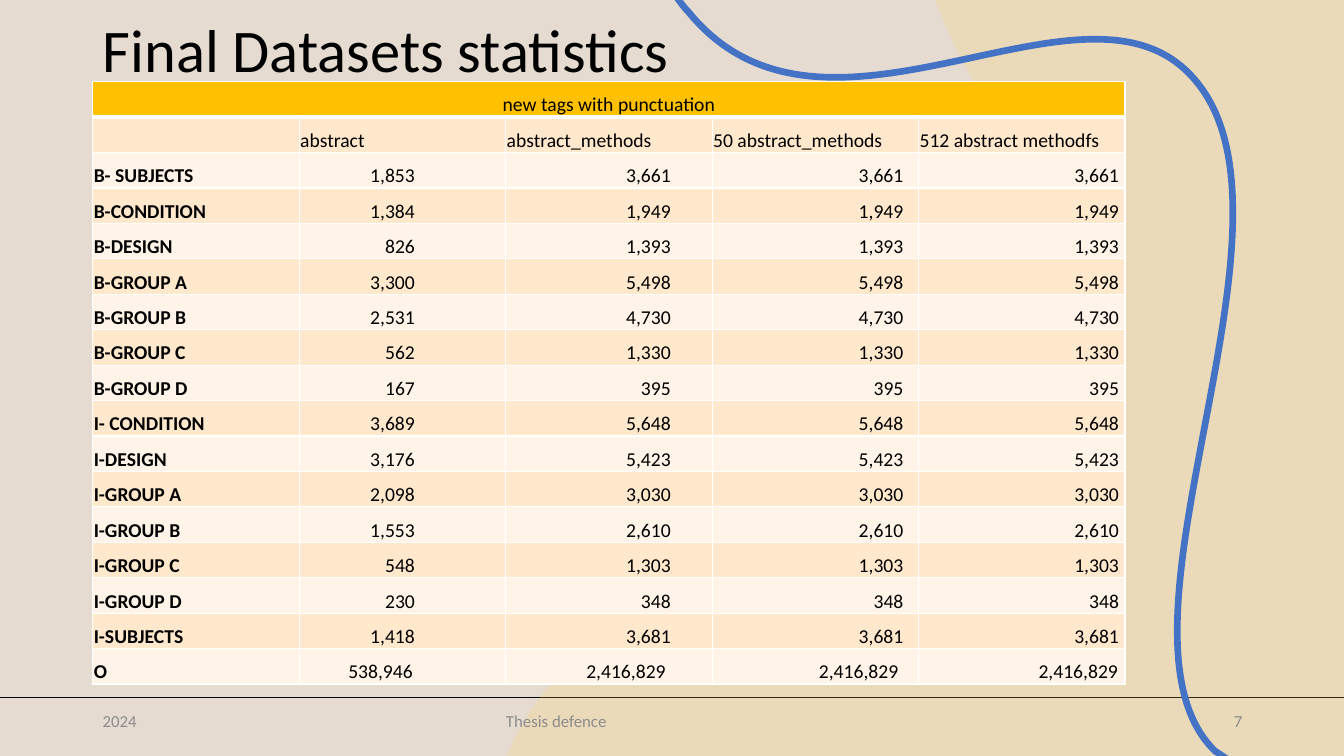
from lxml.etree import SubElement
from pptx import Presentation
from pptx.dml.color import RGBColor
from pptx.enum.shapes import MSO_CONNECTOR
from pptx.enum.text import MSO_ANCHOR as Anchor, PP_ALIGN as Align
from pptx.oxml.ns import qn
from pptx.util import Inches, Pt

color = RGBColor.from_string
WIDTH, HEIGHT = 13.33, 7.5
LEFT, GREY = 0.92, "8C8C8C"

deck = Presentation()
deck.slide_width, deck.slide_height = Inches(WIDTH), Inches(HEIGHT)
page = deck.slides.add_slide(deck.slide_layouts[5])
page.background.fill.solid()
page.background.fill.fore_color.rgb = color("E6DBD0")
shapes = page.shapes


def write(frame, text, size=14, ink="000000", bold=False, align=Align.LEFT):
    para = frame.paragraphs[0]
    para.alignment = align
    span = para.add_run()
    span.text = text
    span.font.name, span.font.size, span.font.bold = "Calibri", Pt(size), bold
    span.font.color.rgb = color(ink)
    return para


def draw_outline(points, closed):
    """Draw a freeform in hundredths of an inch; six numbers make a Bézier curve."""
    ends = [point[-2:] for point in points]
    builder = shapes.build_freeform(*ends[0], scale=Inches(0.01))
    builder.add_line_segments(ends[1:], close=closed)
    outline = builder.convert_to_shape()
    outline.shadow.inherit = False
    left, top = min(x for x, y in ends), min(y for x, y in ends)
    segments = list(outline._element.iter(qn("a:lnTo")))
    for point, segment in zip(points[1:], segments):
        if len(point) == 6:
            curve = segment.makeelement(qn("a:cubicBezTo"))
            for x, y in zip(point[::2], point[1::2]):
                SubElement(curve, qn("a:pt"), x=str(x - left), y=str(y - top))
            segment.getparent().replace(segment, curve)
    return outline


# Backdrop
rule = shapes.add_connector(MSO_CONNECTOR.STRAIGHT, 0, Inches(6.92), Inches(WIDTH), Inches(6.92))
rule.line.color.rgb = color("000000")
rule.line.width = Pt(1.25)
SubElement(rule._element.spPr, qn("a:effectLst"))

sand = draw_outline([
    (927, 0), (1333, 0), (1333, 750), (503, 750), (507, 740),
    (511, 731, 515, 725, 517, 721),
    (631, 512, 962, 578, 1052, 419),
    (1123, 296, 988, 146, 932, 12),
], closed=True)
sand.fill.solid()
sand.fill.fore_color.rgb = color("FFD966")
tint = sand._element.spPr.find(qn("a:solidFill"))[0]
SubElement(tint, qn("a:alpha")).set("val", "20000")
sand.line.fill.background()

ribbon = draw_outline([
    (1217, 753), (1214, 751), (1205, 745),
    (1084, 627, 1307, 220, 1185, 79),
    (1078, -47, 820, 180, 683, 12),
    (680, 9, 676, 4, 671, -3),
], closed=False)
ribbon.fill.background()
ribbon.line.color.rgb = color("4472C4")
ribbon.line.width = Pt(4.75)

# Title, brought in front of the backdrop
title = shapes.title
ribbon._element.addnext(title._element)
title.left, title.top = Inches(LEFT), Inches(0.15)
title.width, title.height = Inches(11.5), Inches(0.74)
title.text_frame.vertical_anchor = Anchor.MIDDLE
write(title.text_frame, "Final Datasets statistics", size=43.2).line_spacing = 0.9

# Table: tag, count in abstracts, count in each of the other three sets
COUNTS = [
    ("B- SUBJECTS", "1,853", "3,661"),
    ("B-CONDITION", "1,384", "1,949"),
    ("B-DESIGN", "826", "1,393"),
    ("B-GROUP A", "3,300", "5,498"),
    ("B-GROUP B", "2,531", "4,730"),
    ("B-GROUP C", "562", "1,330"),
    ("B-GROUP D", "167", "395"),
    ("I- CONDITION", "3,689", "5,648"),
    ("I-DESIGN", "3,176", "5,423"),
    ("I-GROUP A", "2,098", "3,030"),
    ("I-GROUP B", "1,553", "2,610"),
    ("I-GROUP C", "548", "1,303"),
    ("I-GROUP D", "230", "348"),
    ("I-SUBJECTS", "1,418", "3,681"),
    ("O", "538,946", "2,416,829"),
]
rows = [
    ["new tags with punctuation", "", "", "", ""],
    ["", "abstract", "abstract_methods", "50 abstract_methods", "512 abstract methodfs"],
]
rows += [[tag, abstract] + [methods] * 3 for tag, abstract, methods in COUNTS]
COUNT_MARGINS = [0.01, 0.9, 0.41, 0.15, 0.06]
TOTAL_MARGINS = [0.01, 0.92, 0.46, 0.2, 0.07]

table = shapes.add_table(len(rows), 5, Inches(LEFT), Inches(0.81),
                         Inches(10.24), Inches(5.98)).table
table.cell(0, 0).merge(table.cell(0, 4))
for row, texts in enumerate(rows):
    margins = TOTAL_MARGINS if texts[0] == "O" else COUNT_MARGINS
    for column, text in enumerate(texts):
        cell = table.cell(row, column)
        is_number = row > 1 and column > 0
        cell.vertical_anchor = Anchor.BOTTOM
        cell.margin_left = cell.margin_top = Inches(0.01)
        cell.margin_right = Inches(margins[column] if is_number else 0.01)
        cell.margin_bottom = 0
        for side in "LRTB":
            thick = (row, side) in [(0, "B"), (1, "T")]
            border = SubElement(cell._tc.get_or_add_tcPr(), qn(f"a:ln{side}"),
                                w=str(Pt(3 if thick else 1)))
            SubElement(SubElement(border, qn("a:solidFill")), qn("a:srgbClr"), val="FFFFFF")
        cell.fill.solid()
        band = "FFE8CC" if row % 2 else "FFF4E7"
        cell.fill.fore_color.rgb = color(band if row else "FFC000")
        if text:
            align = Align.RIGHT if is_number else Align.LEFT if row else Align.CENTER
            write(cell.text_frame, text, bold=row > 1 and column == 0, align=align)
        else:
            cell.text_frame.paragraphs[0].font.size = Pt(14)

# Footer
for text, left, width, align in [("7", 9.42, 3, Align.RIGHT),
                                 ("2024\tThesis defence", LEFT, 7.82, Align.LEFT)]:
    box = shapes.add_textbox(Inches(left), Inches(6.95), Inches(width), Inches(0.4))
    box.text_frame.word_wrap = True
    box.text_frame.vertical_anchor = Anchor.MIDDLE
    para = write(box.text_frame, text, size=12, ink=GREY, align=align)
stops = SubElement(para._p.get_or_add_pPr(), qn("a:tabLst"))
SubElement(stops, qn("a:tab"), pos=str(Inches(4)), algn="l")

deck.save("out.pptx")
